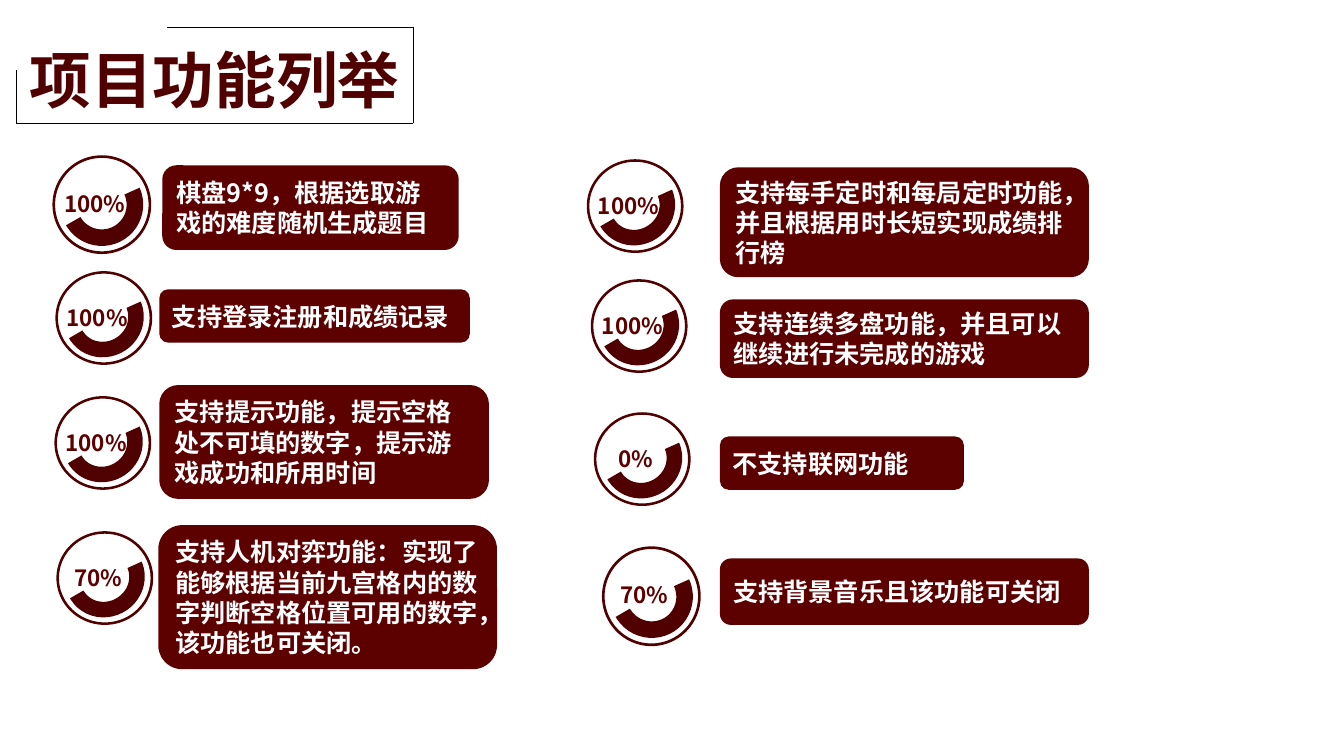
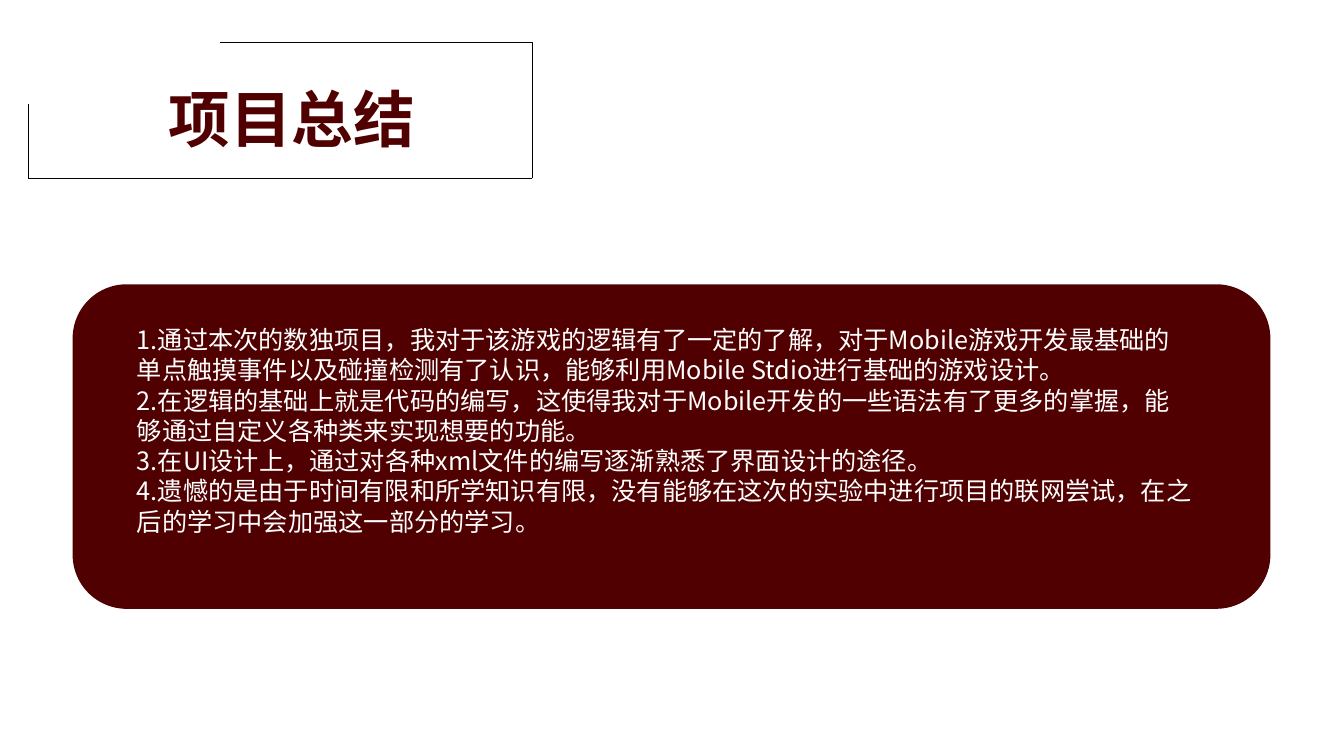
from itertools import pairwise

from pptx import Presentation
from pptx.dml.color import RGBColor
from pptx.enum.shapes import MSO_CONNECTOR as LINE, MSO_SHAPE as SHAPE
from pptx.enum.text import MSO_ANCHOR as ANCHOR, PP_ALIGN as ALIGN
from pptx.oxml.ns import qn
from pptx.util import Inches, Pt

# Shared look
DARK = RGBColor(0x50, 0x00, 0x00)
WINE = RGBColor(0x5C, 0x00, 0x00)
WHITE = RGBColor(0xFF, 0xFF, 0xFF)
BLACK = RGBColor(0x00, 0x00, 0x00)
FONT = "Noto Sans CJK SC"

# Title text, title box (left, top, width, height), frame (left, top, right, bottom)
FEATURE_HEAD = ("项目功能列举", (-0.26, 0.37, 4.78, 0.84), (0.16, 0.27, 4.1, 1.22))
SUMMARY_HEAD = ("项目总结", (0.1, 0.75, 5.59, 0.84), (0.28, 0.42, 5.28, 1.77))

# Progress, ring box, feature text, card box
FEATURES = [
    ("100%", (0.52, 1.54, 0.98, 0.98),
     "棋盘9*9，根据选取游戏的难度随机生成题目", (1.61, 1.64, 2.94, 0.84)),
    ("100%", (0.55, 2.69, 0.96, 0.93),
     "支持登录注册和成绩记录", (1.58, 2.87, 3.08, 0.53)),
    ("100%", (0.54, 3.93, 0.96, 0.93),
     "支持提示功能，提示空格处不可填的数字，提示游戏成功和所用时间",
     (1.58, 3.82, 3.27, 1.13)),
    ("70%", (0.56, 5.27, 0.96, 0.93),
     "支持人机对弈功能：实现了能够根据当前九宫格内的数字判断空格位置可用的数字，该功能也可关闭。",
     (1.57, 5.21, 3.36, 1.43)),
    ("100%", (5.82, 1.58, 0.96, 0.93),
     "支持每手定时和每局定时功能，并且根据用时长短实现成绩排行榜",
     (7.14, 1.66, 3.66, 1.09)),
    ("100%", (5.86, 2.77, 0.96, 0.93),
     "支持连续多盘功能，并且可以继续进行未完成的游戏", (7.14, 2.97, 3.66, 0.78)),
    ("0%", (5.89, 4.09, 0.96, 0.93),
     "不支持联网功能", (7.14, 4.33, 2.42, 0.53)),
    ("70%", (5.97, 5.42, 0.98, 0.99),
     "支持背景音乐且该功能可关闭", (7.14, 5.54, 3.66, 0.66)),
]

SUMMARY = [
    "1.通过本次的数独项目，我对于该游戏的逻辑有了一定的了解，对于Mobile游戏开发最基础的",
    "单点触摸事件以及碰撞检测有了认识，能够利用Mobile Stdio进行基础的游戏设计。",
    "2.在逻辑的基础上就是代码的编写，这使得我对于Mobile开发的一些语法有了更多的掌握，能",
    "够通过自定义各种类来实现想要的功能。",
    "3.在UI设计上，通过对各种xml文件的编写逐渐熟悉了界面设计的途径。",
    "4.遗憾的是由于时间有限和所学知识有限，没有能够在这次的实验中进行项目的联网尝试，在之",
    "后的学习中会加强这一部分的学习。",
]


def write(shape, lines, size, color, bold=True, align=ALIGN.LEFT):
    frame = shape.text_frame
    frame.text = "\n".join(lines)
    frame.word_wrap = True
    for para in frame.paragraphs:
        para.alignment = align
        for run in para.runs:
            font = run.font
            font.name, font.size, font.bold = FONT, Pt(size), bold
            font.color.rgb = color
            east = font._element.makeelement(qn("a:ea"), {"typeface": FONT})
            font._element.find(qn("a:latin")).addnext(east)
    return frame


def add_text(shapes, box, lines, size, color, **style):
    text = shapes.add_textbox(*map(Inches, box))
    return write(text, lines, size, color, **style)


def add_solid(shapes, kind, box, color):
    shape = shapes.add_shape(kind, *map(Inches, box))
    shape.shadow.inherit = False
    shape.fill.solid()
    shape.fill.fore_color.rgb = color
    shape.line.fill.background()
    return shape


def add_head(slide, title, box, frame):
    add_text(slide.shapes, box, [title], 44, DARK, align=ALIGN.CENTER)
    # The frame is open at its top left corner
    left, top, right, bottom = frame
    start = (left + 0.38 * (right - left), top)
    end = (left, top + 0.45 * (bottom - top))
    points = [start, (right, top), (right, bottom), (left, bottom), end]
    group = slide.shapes.add_group_shape()
    for a, b in pairwise(points):
        line = group.shapes.add_connector(LINE.STRAIGHT, *map(Inches, a + b))
        line.line.color.rgb = BLACK
        line.line.width = Pt(0.5)
        props = line._element.spPr
        props.append(props.makeelement(qn("a:effectLst"), {}))


def add_ring(slide, label, box):
    left, top, width, height = box
    shapes = slide.shapes.add_group_shape().shapes
    ring = add_solid(shapes, SHAPE.DONUT, box, DARK)
    ring.adjustments[0] = 0.027
    inset = 0.08
    arc_box = (left + inset, top + inset, width - 2 * inset, height - 2 * inset)
    arc = add_solid(shapes, SHAPE.BLOCK_ARC, arc_box, DARK)
    for i, value in enumerate((113.75, 2.18, 0.2)):
        arc.adjustments[i] = value
    arc.rotation = 146.3
    label_box = (left, top + 0.3 * height, 0.86 * width, 0.35)
    frame = add_text(shapes, label_box, [label], 16, WINE, align=ALIGN.CENTER)
    frame.margin_left = frame.margin_right = 0


def add_card(slide, text, box):
    card = add_solid(slide.shapes, SHAPE.ROUNDED_RECTANGLE, box, WINE)
    write(card, [text], 18, WHITE).vertical_anchor = ANCHOR.MIDDLE


def main():
    deck = Presentation()
    deck.slide_width, deck.slide_height = Inches(13.33), Inches(7.5)
    blank = deck.slide_layouts[6]

    # Feature list
    slide = deck.slides.add_slide(blank)
    add_head(slide, *FEATURE_HEAD)
    for label, ring, text, card in FEATURES:
        add_ring(slide, label, ring)
        add_card(slide, text, card)

    # Summary
    slide = deck.slides.add_slide(blank)
    add_solid(slide.shapes, SHAPE.ROUNDED_RECTANGLE, (0.72, 2.82, 11.88, 3.22), DARK)
    add_head(slide, *SUMMARY_HEAD)
    add_text(slide.shapes, (1.26, 3.17, 10.81, 2.22), SUMMARY, 18, WHITE, bold=False)

    deck.save("out.pptx")


if __name__ == "__main__":
    main()
